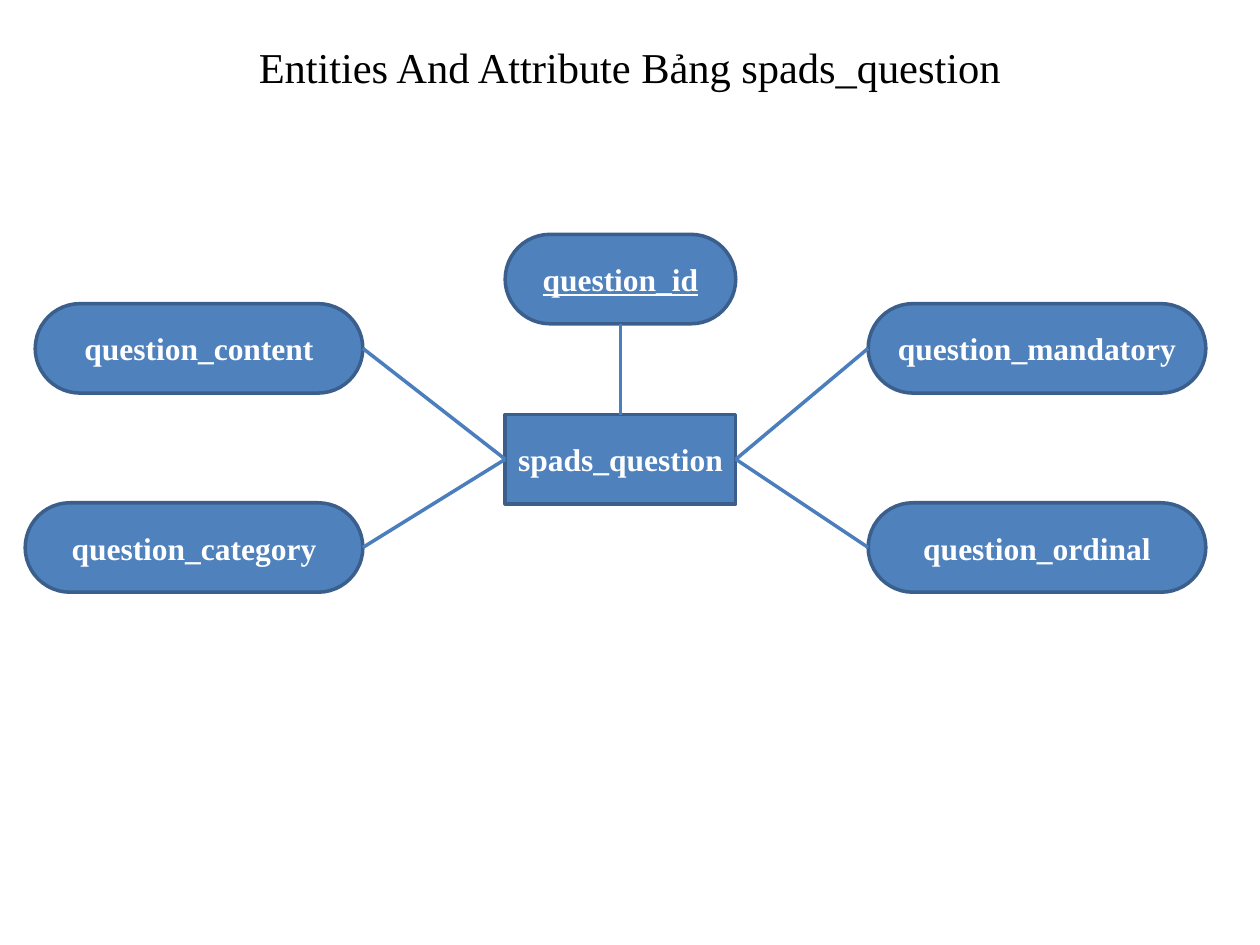
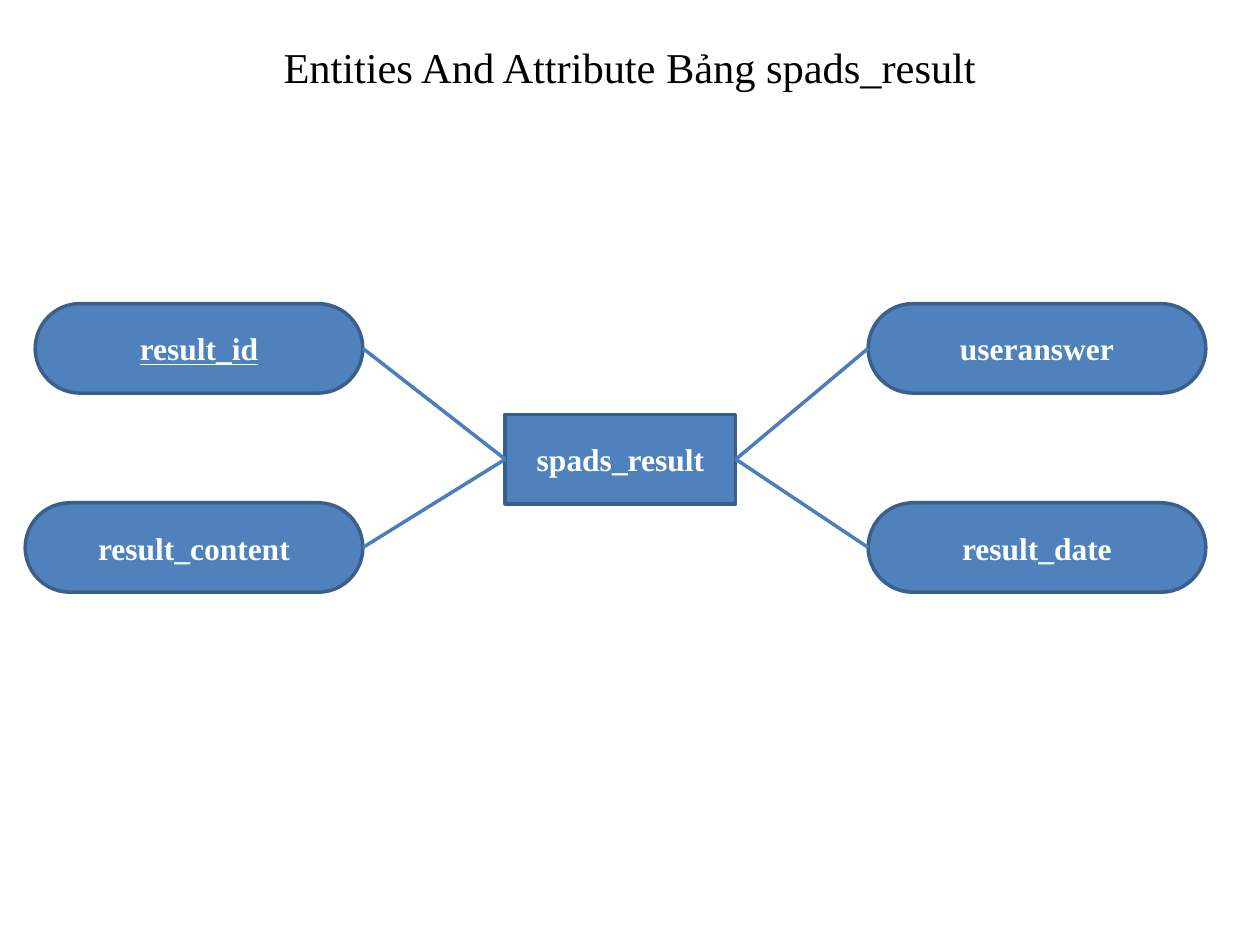
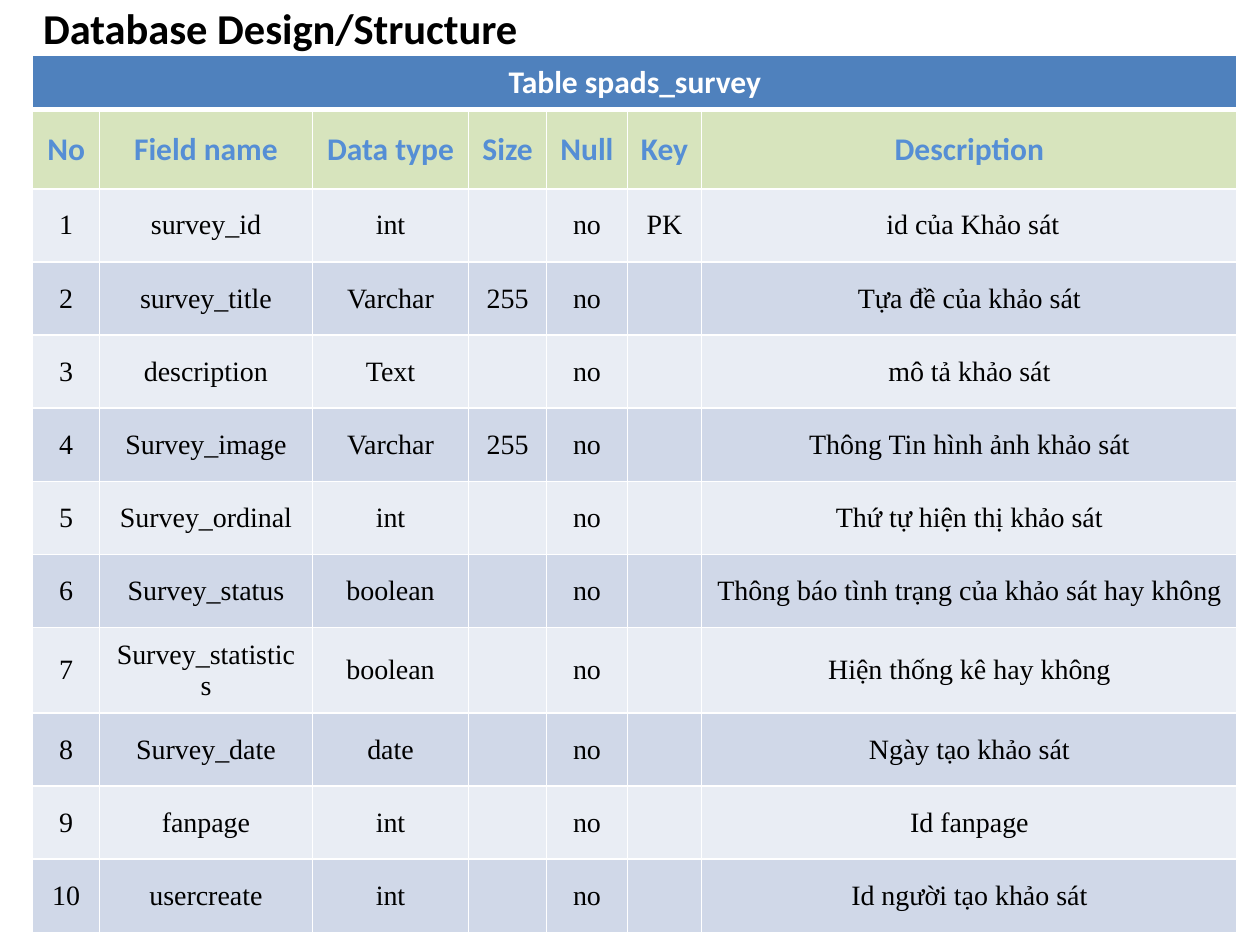
"""Build the entity diagrams and the table structure slide of a survey database."""
from lxml.etree import SubElement
from pptx import Presentation
from pptx.dml.color import RGBColor
from pptx.enum.shapes import MSO_CONNECTOR, MSO_SHAPE
from pptx.enum.text import MSO_ANCHOR, PP_ALIGN
from pptx.oxml.ns import qn
from pptx.util import Inches, Pt

COLORS = {
    "black": "000000", "white": "FFFFFF", "node": "4F81BD", "outline": "3A5F8C",
    "link": "4B7EBC", "heading": "558ED5", "heading_fill": "D7E4BD",
    "odd_row": "E9EDF4", "even_row": "D0D8E8",
}
SERIF, SANS = "Times New Roman", "Calibri"
TITLE = {"name": SERIF, "size": Pt(24.3), "color": "black"}
DESIGN_TITLE = {**TITLE, "name": SANS, "bold": True}
NODE = {"name": SERIF, "size": Pt(18), "bold": True, "color": "white"}
KEY_NODE = {**NODE, "underline": True}
BANNER = {**NODE, "name": SANS}
HEADING = {**BANNER, "color": "heading"}
BODY = {"name": SERIF, "size": Pt(16), "bold": False, "color": "black"}

NODE_HEIGHT = 0.71
ENTITY_PLACE = (4.01, 3.29, 1.83)
TOP, LEFT, BOTTOM, RIGHT = range(4)
SLOTS = {
    "above": (4.01, 1.86, 1.83, TOP, BOTTOM),
    "upper left": (0.28, 2.41, 2.6, LEFT, RIGHT),
    "lower left": (0.2, 3.99, 2.68, LEFT, RIGHT),
    "upper right": (6.89, 2.41, 2.68, RIGHT, LEFT),
    "lower right": (6.89, 3.99, 2.68, RIGHT, LEFT),
}
DIAGRAMS = [
    ("spads_question", "question_id", {
        "above": "question_id", "upper left": "question_content",
        "lower left": "question_category", "upper right": "question_mandatory",
        "lower right": "question_ordinal"}),
    ("spads_result", "result_id", {
        "upper left": "result_id", "lower left": "result_content",
        "upper right": "useranswer", "lower right": "result_date"}),
]

COLUMN_WIDTHS = [0.53, 1.69, 1.24, 0.62, 0.64, 0.59, 4.25]
BANNER_HEIGHT, HEADING_HEIGHT, ROW_HEIGHT, WRAPPED_HEIGHT = 0.43, 0.63, 0.58, 0.68
HEADINGS = ["No", "Field name", "Data type", "Size", "Null", "Key", "Description"]
FIELDS = [
    ("survey_id", "int", "", "PK", " id của Khảo sát"),
    ("survey_title", "Varchar", "255", "", "Tựa đề của khảo sát"),
    ("description", "Text", "", "", "mô tả khảo sát"),
    ("Survey_image", "Varchar", "255", "", "Thông Tin hình ảnh khảo sát"),
    ("Survey_ordinal", "int", "", "", "Thứ tự hiện thị khảo sát"),
    ("Survey_status", "boolean", "", "", "Thông báo tình trạng của khảo sát hay không"),
    ("Survey_statistics", "boolean", "", "", "Hiện thống kê hay không"),
    ("Survey_date", "date", "", "", "Ngày tạo khảo sát"),
    ("fanpage", "int", "", "", "Id fanpage"),
    ("usercreate", "int", "", "", "Id người tạo khảo sát"),
]


def color_of(name):
    """Return the named colour."""
    return RGBColor.from_string(COLORS[name])


def write_text(frame, text, style):
    """Write one centred paragraph in the given style."""
    para = frame.paragraphs[0]
    para.alignment = PP_ALIGN.CENTER
    span = para.add_run()
    span.text = text
    for key, value in style.items():
        if key == "color":
            span.font.color.rgb = color_of(value)
        else:
            setattr(span.font, key, value)


def add_title(page, text, place, style):
    """Add a slide title."""
    box = page.shapes.add_textbox(*map(Inches, place))
    box.text_frame.word_wrap = True
    box.text_frame.vertical_anchor = MSO_ANCHOR.MIDDLE
    write_text(box.text_frame, text, style)


def add_node(page, kind, text, place, style):
    """Add an entity or attribute shape."""
    node = page.shapes.add_shape(kind, *map(Inches, (*place, NODE_HEIGHT)))
    node.shadow.inherit = False
    if kind == MSO_SHAPE.ROUNDED_RECTANGLE:
        node.adjustments[0] = 0.5
    node.fill.solid()
    node.fill.fore_color.rgb = color_of("node")
    node.line.color.rgb = color_of("outline")
    node.line.width = Pt(2)
    frame = node.text_frame
    settings = {"word_wrap": False, "vertical_anchor": MSO_ANCHOR.MIDDLE}
    for key, value in settings.items():
        setattr(frame, key, value)
    write_text(frame, text, style)
    return node


def add_link(page, entity, entity_side, attribute, attribute_side):
    """Join an entity to an attribute with a straight line."""
    link = page.shapes.add_connector(MSO_CONNECTOR.STRAIGHT, 0, 0, 0, 0)
    link.begin_connect(entity, entity_side)
    link.end_connect(attribute, attribute_side)
    link.line.color.rgb = color_of("link")
    link.line.width = Pt(2)
    SubElement(link._element.spPr, qn("a:effectLst"))


def add_diagram(page, name, key, attributes):
    """Draw an entity with its attributes around it."""
    add_title(page, f"Entities And Attribute Bảng {name}", (0.5, 0.3, 9, 0.46), TITLE)
    entity = add_node(page, MSO_SHAPE.RECTANGLE, name, ENTITY_PLACE, NODE)
    for slot, text in attributes.items():
        *place, entity_side, attribute_side = SLOTS[slot]
        style = KEY_NODE if text == key else NODE
        attribute = add_node(page, MSO_SHAPE.ROUNDED_RECTANGLE, text, place, style)
        add_link(page, entity, entity_side, attribute, attribute_side)


def add_borders(cell, widths):
    """Give a cell white borders: left, right, top and bottom."""
    properties = cell._tc.get_or_add_tcPr()
    for side, width in zip("LRTB", widths):
        border = SubElement(properties, qn(f"a:ln{side}"), w=str(Pt(width)))
        fill = SubElement(border, qn("a:solidFill"))
        SubElement(fill, qn("a:srgbClr"), val=COLORS["white"])


def fill_row(table, index, texts, style, fill, borders=(1, 1, 1, 1)):
    """Fill and format one table row."""
    for cell, text in zip(table.rows[index].cells, texts):
        add_borders(cell, borders)
        cell.fill.solid()
        cell.fill.fore_color.rgb = color_of(fill)
        cell.vertical_anchor = MSO_ANCHOR.MIDDLE
        if text:
            write_text(cell.text_frame, text, style)


def add_structure(page):
    """Add the table that describes the survey fields."""
    add_title(page, "Database Design/Structure", (0, 0, 4.45, 0.44), DESIGN_TITLE)
    heights = [BANNER_HEIGHT, HEADING_HEIGHT]
    heights += [WRAPPED_HEIGHT if field[0] == "Survey_statistics" else ROW_HEIGHT
                for field in FIELDS]
    place = (0.26, 0.44, sum(COLUMN_WIDTHS), sum(heights))
    table = page.shapes.add_table(
        len(heights), len(COLUMN_WIDTHS), *map(Inches, place)).table
    for column, width in zip(table.columns, COLUMN_WIDTHS):
        column.width = Inches(width)
    for row, height in zip(table.rows, heights):
        row.height = Inches(height)
    banner = ["Table spads_survey"] + [""] * (len(HEADINGS) - 1)
    fill_row(table, 0, banner, BANNER, "node", (1, 1, 1, 3))
    table.cell(0, 0).merge(table.cell(0, len(HEADINGS) - 1))
    fill_row(table, 1, HEADINGS, HEADING, "heading_fill", (1, 1, 3, 1))
    for number, (name, kind, size, key, description) in enumerate(FIELDS, 1):
        texts = [str(number), name, kind, size, "no", key, description]
        fill_row(table, number + 1, texts, BODY, "odd_row" if number % 2 else "even_row")


def main():
    """Build and save the deck."""
    deck = Presentation()
    deck.slide_width, deck.slide_height = Inches(10), Inches(7.5)
    blank = deck.slide_layouts[6]
    for name, key, attributes in DIAGRAMS:
        add_diagram(deck.slides.add_slide(blank), name, key, attributes)
    add_structure(deck.slides.add_slide(blank))
    deck.save("out.pptx")


main()
